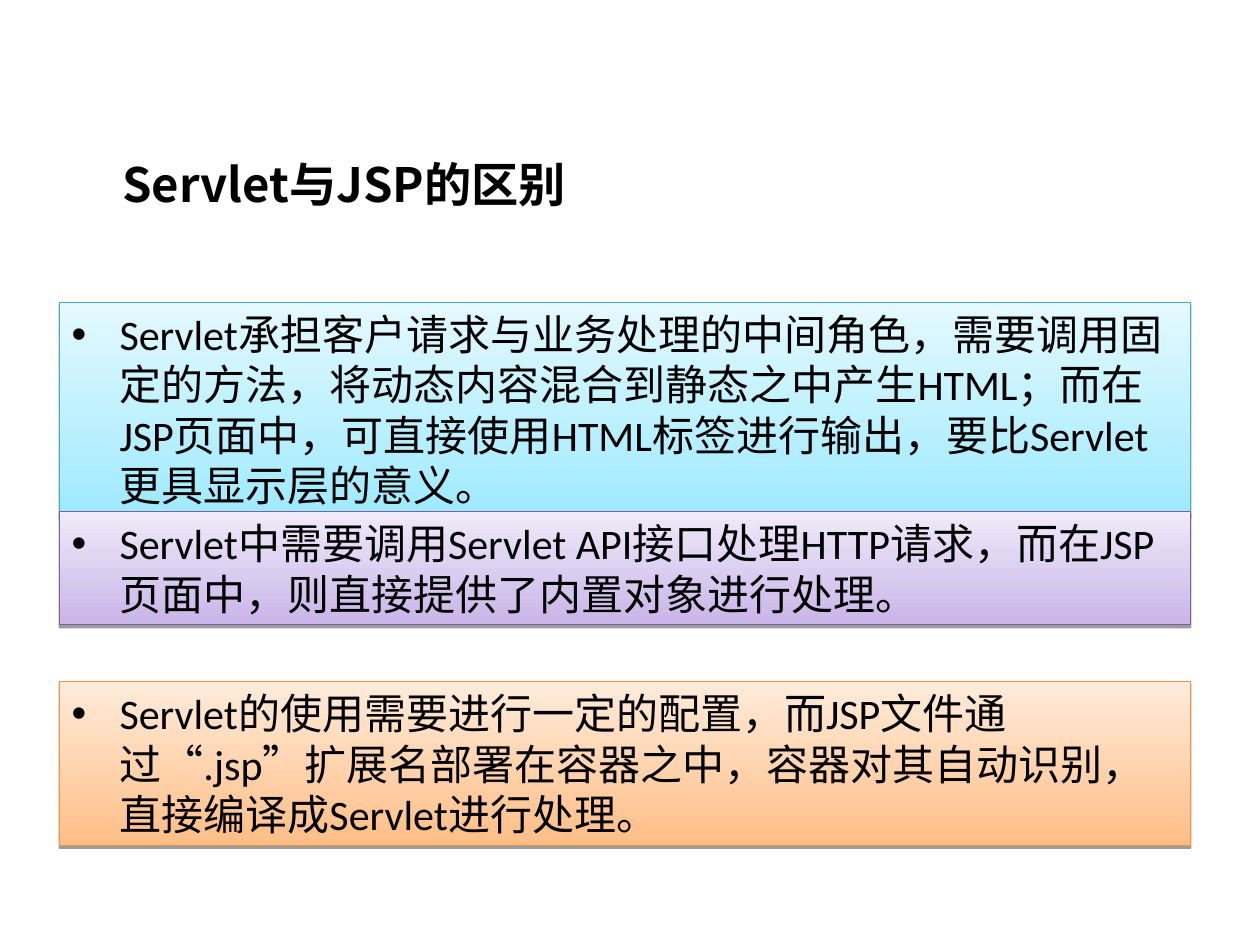
"""Build a slide that contrasts Servlet with JSP."""
from lxml import etree
from pptx import Presentation
from pptx import util as u
from pptx.dml.color import RGBColor
from pptx.enum import shapes, text
from pptx.oxml.ns import qn

COLOURS = {
    "text": "000000",
    "blue": ("9EEAFF", "E4F9FF", "46AAC5"),
    "purple": ("C9B5E8", "F0EAF9", "7D60A0"),
    "orange": ("FFBE86", "FFEBDB", "F69240"),
}
CJK_FONT = "Noto Sans CJK SC"
TITLE_FONT = {"name": CJK_FONT, "size": u.Pt(27), "bold": True}
BODY_FONT = {"name": "Calibri", "size": u.Pt(24), "bold": False}
BOX_LEFT, BOX_WIDTH = 0.47, 8.98
INDENT = u.Inches(0.38)
POINTS = [
    (2.4, 1.7, "blue", "Servlet承担客户请求与业务处理的中间角色，需要调用固定的方法，将动态内容混合到静态之中产生HTML；而在JSP页面中，可直接使用HTML标签进行输出，要比Servlet更具显示层的意义。"),
    (4.06, 0.9, "purple", "Servlet中需要调用Servlet API接口处理HTTP请求，而在JSP页面中，则直接提供了内置对象进行处理。"),
    (5.41, 1.3, "orange", "Servlet的使用需要进行一定的配置，而JSP文件通过“.jsp”扩展名部署在容器之中，容器对其自动识别，直接编译成Servlet进行处理。"),
]


def add_element(parent, tag, **attributes):
    return etree.SubElement(parent, qn(tag), attributes)


def apply(target, values):
    for name, value in values.items():
        setattr(target, name, value)


class SlideBuilder:
    def __init__(self, slide):
        self.slide = slide

    def add_wording(self, paragraph, wording, font_values):
        run = paragraph.add_run()
        run.text = wording
        apply(run.font, font_values)
        run.font.color.rgb = RGBColor.from_string(COLOURS["text"])
        add_element(run.font._element, "a:ea", typeface=CJK_FONT)

    def title(self, wording, left, top, width, height):
        shape = self.slide.shapes.title
        apply(shape, {"left": u.Inches(left), "top": u.Inches(top),
                      "width": u.Inches(width), "height": u.Inches(height)})
        frame = shape.text_frame
        apply(frame, {"word_wrap": True, "vertical_anchor": text.MSO_ANCHOR.MIDDLE,
                      "auto_size": text.MSO_AUTO_SIZE.NONE,
                      "margin_left": u.Inches(0.08), "margin_right": u.Inches(0.08),
                      "margin_top": u.Inches(0.04), "margin_bottom": u.Inches(0.04)})
        paragraph = frame.paragraphs[0]
        paragraph.alignment = text.PP_ALIGN.LEFT
        self.add_wording(paragraph, wording, TITLE_FONT)

    def shadow(self, shape):
        shape.shadow.inherit = False
        effects = shape._element.spPr.find(qn("a:effectLst"))
        outer = add_element(effects, "a:outerShdw", blurRad="0", dist=str(u.Pt(1.6)),
                            dir="5400000", rotWithShape="0")
        colour = add_element(outer, "a:srgbClr", val=COLOURS["text"])
        add_element(colour, "a:alpha", val="38000")

    def bullet(self, paragraph):
        properties = paragraph._p.get_or_add_pPr()
        properties.set("marL", str(INDENT))
        properties.set("indent", str(-INDENT))
        colour = add_element(properties, "a:buClr")
        add_element(colour, "a:srgbClr", val=COLOURS["text"])
        add_element(properties, "a:buFont", typeface="Arial")
        add_element(properties, "a:buChar", char="•")

    def point(self, top, height, colour, wording):
        shape = self.slide.shapes.add_shape(
            shapes.MSO_SHAPE.RECTANGLE, u.Inches(BOX_LEFT), u.Inches(top),
            u.Inches(BOX_WIDTH), u.Inches(height))
        *stop_colours, line_colour = COLOURS[colour]
        shape.fill.gradient()
        shape.fill.gradient_angle = 90
        for stop, position, value in zip(shape.fill.gradient_stops, (0, 1), stop_colours):
            stop.position = position
            stop.color.rgb = RGBColor.from_string(value)
        shape.line.color.rgb = RGBColor.from_string(line_colour)
        shape.line.width = u.Pt(0.75)
        self.shadow(shape)
        apply(shape.text_frame, {"word_wrap": True, "vertical_anchor": text.MSO_ANCHOR.TOP,
                                 "auto_size": text.MSO_AUTO_SIZE.SHAPE_TO_FIT_TEXT})
        paragraph = shape.text_frame.paragraphs[0]
        paragraph.alignment = text.PP_ALIGN.LEFT
        self.bullet(paragraph)
        self.add_wording(paragraph, wording, BODY_FONT)


def main():
    presentation = Presentation()
    presentation.slide_width = u.Inches(10)
    presentation.slide_height = u.Inches(7.5)
    builder = SlideBuilder(presentation.slides.add_slide(presentation.slide_layouts[5]))
    builder.title("Servlet与JSP的区别", 0.89, 0.94, 6.14, 1.03)
    for point in POINTS:
        builder.point(*point)
    presentation.save("out.pptx")


if __name__ == "__main__":
    main()
